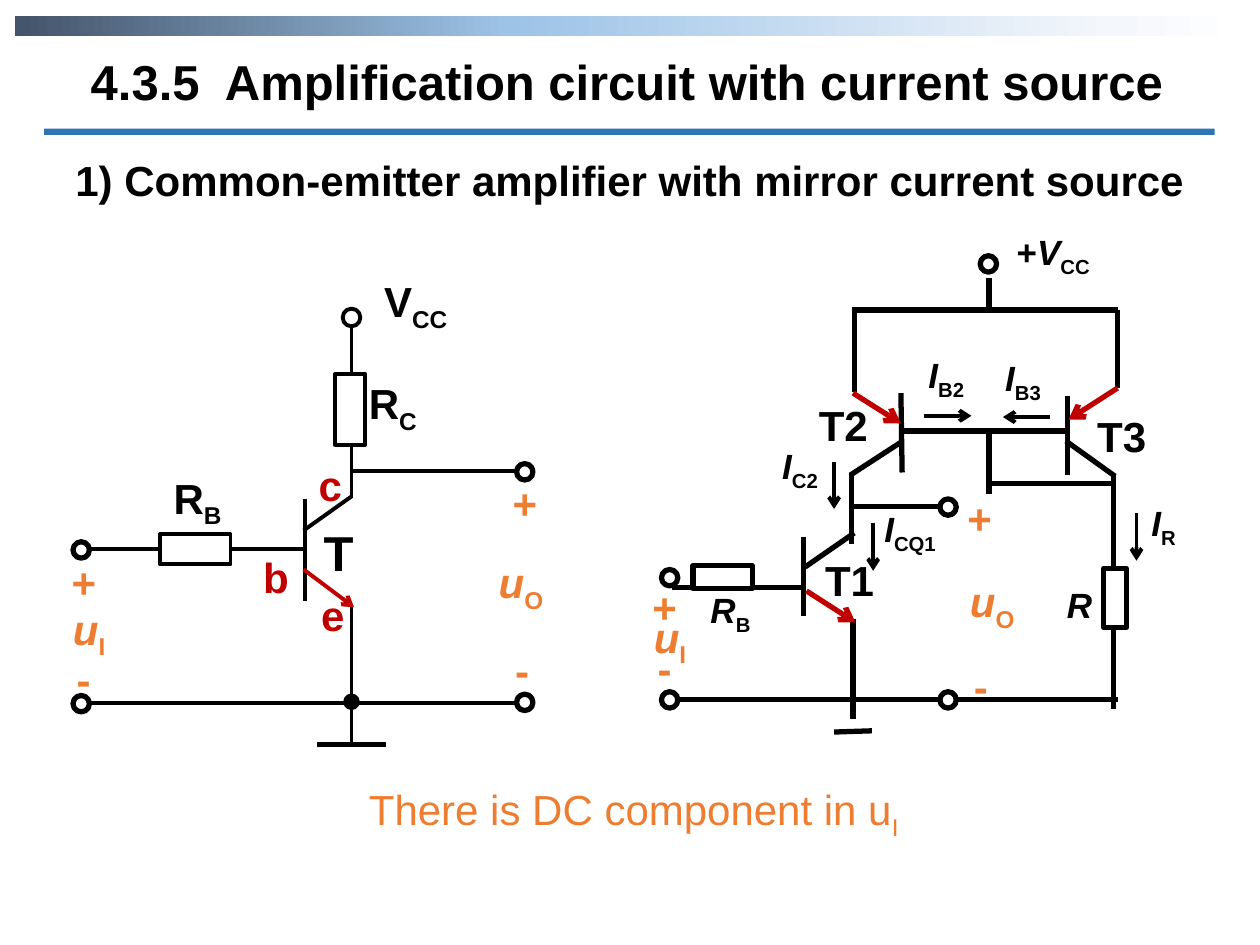
from lxml.etree import SubElement
from pptx import Presentation
from pptx.dml.color import RGBColor
from pptx.enum.shapes import MSO_CONNECTOR as Connector, MSO_SHAPE as Shape
from pptx.enum.text import MSO_ANCHOR as Anchor, MSO_AUTO_SIZE as AutoSize, PP_ALIGN as Align
from pptx.oxml.ns import qn
from pptx.util import Cm, Pt

THEME = {
    "font": "Arial", "black": "000000", "white": "FFFFFF", "red": "C00000",
    "orange": "ED7D31", "blue": "2E75B6",
    "title": 28, "body": 24, "small": 20, "thin": 2.25, "thick": 3,
}
BAND_STOPS = [(0, "44546A"), (40, "9DC3E6"), (89, "F4F7FC"), (100, "FFFFFF")]
TITLE = "4.3.5  Amplification circuit with current source"
HEADING = "1) Common-emitter amplifier with mirror current source"
NOTE = "There is DC component in u"

WIRES = {
    "thin": [
        (2.42, 3.96, 2.42, 4.77), (2.42, 4.36, 0.65, 4.36), (2.41, 4.21, 2.79, 3.94),
        (2.79, 3.95, 2.79, 2.57), (2.79, 4.8, 2.79, 5.91), (4.17, 5.58, 0.67, 5.58),
        (4.13, 3.74, 2.79, 3.74),
    ],
    "thick": [
        (2.52, 5.91, 3.06, 5.91),
        (8.85, 3.78, 8.46, 3.5), (7.15, 3.12, 7.16, 3.75), (6.75, 3.77, 7.15, 3.51),
        (8.87, 2.46, 6.76, 2.46), (6.78, 2.46, 6.78, 3.11), (8.87, 2.46, 8.87, 3.08),
        (6.62, 5.81, 6.92, 5.8), (8.48, 3.42, 7.15, 3.42), (6.76, 3.75, 6.76, 4.32),
        (8.84, 3.76, 8.84, 5.63), (7.85, 3.43, 7.85, 3.92), (6.39, 4.66, 5.33, 4.66),
        (8.47, 3.14, 8.47, 3.77), (7.85, 2.21, 7.85, 2.45), (8.85, 3.84, 7.85, 3.84),
        (6.78, 4.23, 6.39, 4.5), (6.38, 4.26, 6.38, 4.89), (6.77, 4.91, 6.77, 5.71),
        (8.87, 5.55, 5.33, 5.55), (7.46, 4.02, 6.76, 4.02),
    ],
}
EMITTERS = {
    "thin": [(2.41, 4.52, 2.81, 4.82)],
    "thick": [(8.87, 3.08, 8.48, 3.33), (6.77, 3.12, 7.15, 3.36), (6.4, 4.69, 6.79, 4.94)],
}
CURRENTS = {
    "thin": [(9.02, 4.07, 9.02, 4.45), (6.62, 3.67, 6.62, 4.04), (7.33, 3.3, 7.71, 3.3),
             (6.93, 4.15, 6.93, 4.53), (8.33, 3.31, 7.96, 3.31)],
}
RESISTORS = [
    (1.27, 4.24, 0.56, 0.24, "thin"), (2.66, 2.97, 0.24, 0.56, "thin"),
    (8.76, 4.51, 0.18, 0.47, "thick"), (5.5, 4.49, 0.47, 0.18, "thick"),
]
TERMINALS = [
    (7.78, 2.03), (5.25, 4.52), (5.25, 5.49), (7.46, 3.96), (7.46, 5.49),
    (0.58, 4.3), (0.58, 5.52), (4.1, 3.68), (4.1, 5.51),
]
# left, top, width, upright, italic, subscript
LABELS = {
    ("small", "black"): [
        (9.04, 3.93, 0.58, "", "I", "R"), (6.92, 3.98, 0.7, "", "I", "CQ1"),
        (6.11, 3.48, 0.54, "", "I", "C2"), (7.97, 1.78, 0.87, "+", "V", "CC"),
        (8.37, 4.58, 0.43, "", "R", ""), (7.27, 2.76, 0.54, "", "I", "B2"),
        (7.88, 2.78, 0.54, "", "I", "B3"), (5.54, 4.62, 0.69, "", "R", "B"),
    ],
    ("body", "black"): [
        (8.61, 3.21, 0.64, "T3", "", ""), (6.4, 3.12, 0.64, "T2", "", ""),
        (6.45, 4.35, 0.64, "T1", "", ""), (2.95, 2.14, 0.87, "V", "", "CC"),
        (2.83, 2.95, 0.87, "R", "", "C"), (1.28, 3.7, 0.71, "R", "", "B"),
    ],
    ("title", "black"): [(2.47, 4.1, 0.58, "T", "", "")],
    ("body", "orange"): [
        (5.08, 4.57, 0.64, "+", "", ""), (5.12, 5.05, 0.41, "-", "", ""),
        (5.09, 4.8, 0.52, "", "u", "I"), (7.6, 4.52, 0.64, "", "u", "O"),
        (7.58, 3.86, 0.64, "+", "", ""), (7.63, 5.19, 0.41, "-", "", ""),
        (0.48, 4.74, 0.58, "", "u", "I"), (0.47, 4.37, 0.71, "+", "", ""),
        (0.51, 5.14, 0.45, "-", "", ""), (3.86, 4.37, 0.7, "", "u", "O"),
        (3.97, 3.74, 0.71, "+", "", ""), (3.99, 5.07, 0.45, "-", "", ""),
    ],
    ("body", "red"): [
        (1.99, 4.33, 0.42, "b", "", ""), (2.45, 4.63, 0.42, "e", "", ""),
        (2.43, 3.6, 0.42, "c", "", ""),
    ],
}


def length(inches):
    return Cm(inches * 2.54)


def colour(name):
    return RGBColor.from_string(THEME[name])


def apply(target, values):
    for name, value in values.items():
        setattr(target, name, value)


def draw_line(ends, weight, ink="black", arrow=False):
    line = slide.shapes.add_connector(Connector.STRAIGHT, *map(length, ends))
    line.line.color.rgb = colour(ink)
    line.line.width = Pt(THEME[weight])
    if arrow:
        SubElement(line.line._get_or_add_ln(), qn("a:tailEnd"), type="arrow")
    SubElement(line._element.spPr, qn("a:effectLst"))


def draw_shape(kind, box, fill, weight=None):
    shape = slide.shapes.add_shape(kind, *map(length, box))
    shape.shadow.inherit = False
    shape.fill.solid()
    shape.fill.fore_color.rgb = colour(fill)
    if weight:
        shape.line.color.rgb = colour("black")
        shape.line.width = Pt(THEME[weight])
    else:
        shape.line.fill.background()
    return shape


def write(shape, parts, size, ink, align=Align.LEFT, bold=True):
    apply(shape.text_frame, {"word_wrap": True, "auto_size": AutoSize.NONE,
                             "vertical_anchor": Anchor.TOP})
    paragraph = shape.text_frame.paragraphs[0]
    paragraph.alignment = align
    for text, style in zip(parts, ("upright", "italic", "subscript")):
        if not text:
            continue
        run = paragraph.add_run()
        run.text = text
        apply(run.font, {"name": THEME["font"], "size": Pt(THEME[size]),
                         "bold": bold, "italic": style == "italic"})
        run.font.color.rgb = colour(ink)
        if style == "subscript":
            run._r.get_or_add_rPr().set("baseline", "-25000")


def add_label(left, top, width, parts, size, ink, **options):
    height = 0.1 + THEME[size] / 60 + (0.09 if parts[2] else 0)
    box = slide.shapes.add_textbox(*map(length, (left, top, width, height)))
    write(box, parts, size, ink, **options)


presentation = Presentation()
apply(presentation, {"slide_width": length(10), "slide_height": length(7.5)})
slide = presentation.slides.add_slide(presentation.slide_layouts[5])

band = draw_shape(Shape.RECTANGLE, (0.12, 0.13, 9.76, 0.16), "white")
band.fill.gradient()
band.fill.gradient_angle = 0
stops = band._element.spPr.find(qn("a:gradFill")).find(qn("a:gsLst"))
for stop in list(stops):
    stops.remove(stop)
for position, value in BAND_STOPS:
    stop = SubElement(stops, qn("a:gs"), pos=str(position * 1000))
    SubElement(stop, qn("a:srgbClr"), val=value)

title = slide.shapes.title
apply(title, {"left": length(0.58), "top": length(0.36),
              "width": length(8.79), "height": length(0.57)})
write(title, (TITLE, "", ""), "title", "black", Align.CENTER)
draw_shape(Shape.RECTANGLE, (0.35, 1.02, 9.29, 0.05), "blue")
add_label(0.5, 1.18, 9.11, (HEADING, "", ""), "body", "black", align=Align.JUSTIFY)

for group, ink, arrow in ((WIRES, "black", False), (EMITTERS, "red", True),
                          (CURRENTS, "black", True)):
    for weight, lines in group.items():
        for ends in lines:
            draw_line(ends, weight, ink, arrow)
for *box, weight in RESISTORS:
    draw_shape(Shape.RECTANGLE, box, "white", weight)
for left, top in TERMINALS:
    draw_shape(Shape.OVAL, (left, top, 0.13, 0.13), "white", "thick")
draw_shape(Shape.OVAL, (2.72, 2.45, 0.14, 0.14), "white", "thin")
draw_shape(Shape.OVAL, (2.74, 5.52, 0.1, 0.1), "black", "thin")
for (size, ink), labels in LABELS.items():
    for left, top, width, *parts in labels:
        add_label(left, top, width, parts, size, ink)
add_label(2.83, 6.17, 4.84, (NOTE, "", "I"), "body", "orange", align=Align.JUSTIFY, bold=False)

presentation.save("out.pptx")
